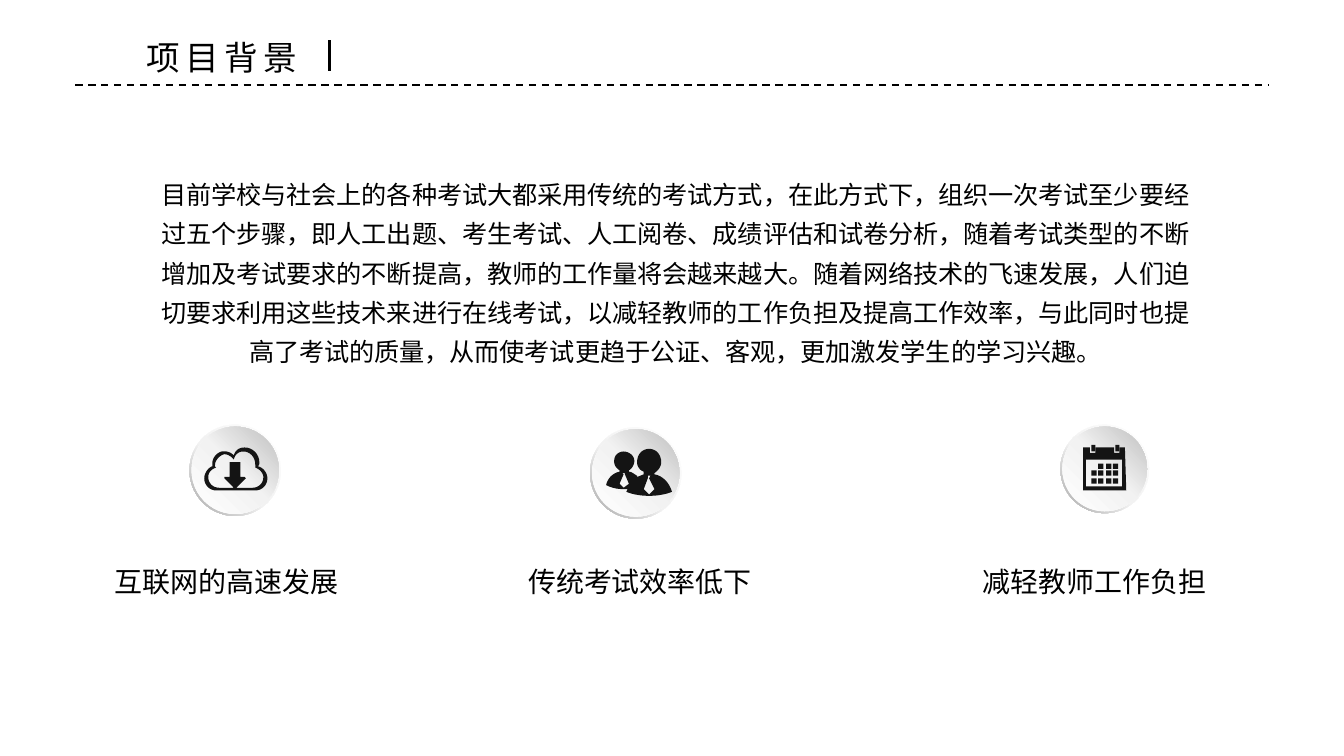
from lxml import etree
from pptx import Presentation
from pptx import util as u
from pptx.dml.color import RGBColor
from pptx.enum import dml, shapes, text
from pptx.oxml import ns

COLORS = {"ink": "000000", "icon": "141414", "white": "FFFFFF", "pale": "F2F2F2",
          "silver": "BFBFBF", "rim": "A6A6A6"}
FONT = "Noto Sans CJK SC"
UNIT = u.Cm(0.0254)


def write(shape, content, size, frame_format, paragraph_format):
    frame = shape.text_frame
    for name, value in frame_format.items():
        setattr(frame, name, value)
    paragraph = frame.paragraphs[0]
    for name, value in paragraph_format.items():
        setattr(paragraph, name, value)
    run = paragraph.add_run()
    run.text = content
    for name, value in {"name": FONT, "size": u.Pt(size), "bold": False}.items():
        setattr(run.font, name, value)
    run.font.color.rgb = RGBColor.from_string(COLORS["ink"])
    properties = run._r.get_or_add_rPr()
    etree.SubElement(properties, ns.qn("a:ea"), typeface=FONT)
    return properties


def paint(shape, stops, angle=0):
    shape.shadow.inherit = False
    shape.line.fill.background()
    shape.fill.solid()
    shape.fill.fore_color.rgb = RGBColor.from_string(COLORS[stops[0][1]])
    if len(stops) > 1:
        solid = shape._element.spPr.find(ns.qn("a:solidFill"))
        gradient = etree.Element(ns.qn("a:gradFill"), rotWithShape="1")
        stop_list = etree.SubElement(gradient, ns.qn("a:gsLst"))
        for position, color in stops:
            stop = etree.SubElement(stop_list, ns.qn("a:gs"), pos=str(position * 1000))
            etree.SubElement(stop, ns.qn("a:srgbClr"), val=COLORS[color])
        etree.SubElement(gradient, ns.qn("a:lin"), ang=str(angle * 60000), scaled="0")
        solid.getparent().replace(solid, gradient)


presentation = Presentation()
presentation.slide_width = u.Cm(25.4)
presentation.slide_height = u.Cm(14.29)
slide = presentation.slides.add_slide(presentation.slide_layouts[5])

title = slide.shapes.title
for name, value in {"left": 2.51, "top": 0.58, "width": 3.51, "height": 1.02}.items():
    setattr(title, name, u.Cm(value))
title_properties = write(
    title, "项目背景", 18,
    {"word_wrap": False, "auto_size": text.MSO_AUTO_SIZE.SHAPE_TO_FIT_TEXT,
     "vertical_anchor": text.MSO_ANCHOR.TOP},
    {"alignment": text.PP_ALIGN.LEFT})
title_properties.set("spc", "300")

BOX = {"margin_left": u.Cm(0.18), "margin_right": u.Cm(0.18),
       "margin_top": u.Cm(0.1), "margin_bottom": u.Cm(0.1),
       "word_wrap": True, "auto_size": text.MSO_AUTO_SIZE.SHAPE_TO_FIT_TEXT}
background = (
    "目前学校与社会上的各种考试大都采用传统的考试方式，在此方式下，组织一次考试至少要经过五个步骤，"
    "即人工出题、考生考试、人工阅卷、成绩评估和试卷分析，随着考试类型的不断增加及考试要求的不断提高，"
    "教师的工作量将会越来越大。随着网络技术的飞速发展，人们迫切要求利用这些技术来进行在线考试，"
    "以减轻教师的工作负担及提高工作效率，与此同时也提高了考试的质量，从而使考试更趋于公证、客观，"
    "更加激发学生的学习兴趣。")
body = slide.shapes.add_textbox(u.Cm(2.79), u.Cm(3.12), u.Cm(19.96), u.Cm(3.94))
write(body, background, 13.5, BOX, {"alignment": text.PP_ALIGN.CENTER, "line_spacing": 1.3})

for left, caption in [(1.98, "互联网的高速发展"), (9.8, "传统考试效率低下"),
                      (18.39, "减轻教师工作负担")]:
    box = slide.shapes.add_textbox(u.Cm(left), u.Cm(10.57), u.Cm(4.95), u.Cm(0.84))
    write(box, caption, 15, BOX, {"alignment": text.PP_ALIGN.LEFT})

cloud = [
    [(192, 347), (193, 346, 193, 345, 193, 344), (193, 338, 188, 333, 182, 333),
     (175, 333, 174, 339, 174, 339), (174, 339, 171, 335, 165, 336),
     (161, 337, 158, 341, 158, 345), (158, 346, 158, 346, 158, 347),
     (155, 348, 152, 352, 152, 356), (152, 361, 156, 365, 161, 365),
     (190, 365), (195, 365, 199, 361, 199, 356), (199, 352, 196, 348, 192, 347)],
    [(188, 363), (176, 363), (183, 356), (182, 355), (179, 355), (179, 344), (171, 344),
     (171, 355), (167, 355), (167, 356), (174, 363), (163, 363),
     (159, 363, 155, 360, 155, 355), (155, 352, 157, 349, 161, 348),
     (160, 348, 160, 347, 160, 346), (160, 343, 163, 339, 167, 338),
     (171, 338, 174, 342, 174, 342), (174, 342, 175, 336, 181, 336),
     (186, 336, 190, 340, 190, 346), (190, 346, 190, 347, 190, 348),
     (193, 349, 196, 352, 196, 355), (196, 360, 192, 363, 188, 363)]]
people = [
    [(482, 354), (482, 356), (479, 364), (483, 368), (487, 364), (483, 356), (484, 354)],
    [(463, 352), (464, 353), (461, 360), (464, 363), (468, 360), (465, 353), (465, 352)],
    [(483, 334), (488, 334, 492, 338, 492, 344), (492, 347, 490, 350, 487, 352), (487, 353),
     (493, 354, 498, 359, 500, 366), (495, 368, 489, 369, 483, 369),
     (477, 369, 471, 368, 466, 366), (467, 364), (464, 364),
     (459, 364, 455, 363, 451, 361), (452, 356, 456, 352, 461, 351), (461, 350),
     (458, 348, 457, 346, 457, 343), (457, 339, 460, 336, 464, 336),
     (468, 336, 472, 339, 472, 343), (472, 346, 470, 349, 468, 350), (468, 351),
     (470, 351, 472, 353, 474, 354), (474, 355), (479, 353), (479, 351),
     (476, 350, 474, 347, 474, 344), (474, 338, 478, 334, 483, 334)]]
calendar = [
    [(837, 333), (833, 333), (833, 337), (829, 337), (829, 333), (815, 333), (815, 337),
     (811, 337), (811, 333), (806, 333), (806, 365), (838, 365)],
    [(835, 362), (808, 362), (808, 342), (835, 342)]]
days = [(column, row, 4, 4) for row in (345, 350, 356) for column in (812, 817, 823, 828)
        if (column, row) != (812, 345)]
rings = [(812, 331, 3, 5), (830, 331, 3, 5)]

for left, top, size, contours, blocks in [(141, 316, 68, cloud, []),
                                          (439, 318, 68, people, []),
                                          (789, 316, 66, calendar, days + rings)]:
    group = slide.shapes.add_group_shape()
    rim = group.shapes.add_shape(shapes.MSO_SHAPE.DONUT, *[UNIT * n for n in (left, top, size, size)])
    rim.adjustments[0] = 0.049
    paint(rim, [(0, "white"), (55, "pale"), (100, "rim")], 135)
    disc = group.shapes.add_shape(
        shapes.MSO_SHAPE.OVAL, *[UNIT * n for n in (left + 1.5, top + 1.5, size - 3, size - 3)])
    paint(disc, [(0, "white"), (51, "pale"), (100, "silver")], 315)

    builder = None
    for contour in contours:
        current = contour[0]
        start = [UNIT * n for n in current]
        if builder is None:
            builder = group.shapes.build_freeform(*start, scale=1.0)
        else:
            builder.move_to(*start)
        points = []
        for segment in contour[1:]:
            if len(segment) == 2:
                points.append(segment)
            else:
                for step in range(1, 9):
                    t = step / 8
                    weights = ((1 - t) ** 3, 3 * t * (1 - t) ** 2, 3 * t * t * (1 - t), t ** 3)
                    points.append([sum(w * n for w, n in zip(weights, (current[axis], *segment[axis::2])))
                                   for axis in (0, 1)])
            current = segment[-2:]
        builder.add_line_segments([(UNIT * x, UNIT * y) for x, y in points], close=True)
    paint(builder.convert_to_shape(), [(0, "icon")])
    for block in blocks:
        rectangle = group.shapes.add_shape(shapes.MSO_SHAPE.RECTANGLE, *[UNIT * n for n in block])
        paint(rectangle, [(0, "icon")])

for ends, width, dash in [((1.42, 1.6, 23.98, 1.6), 1, dml.MSO_LINE.DASH),
                          ((6.22, 0.76, 6.22, 1.35), 1.5, dml.MSO_LINE.SOLID)]:
    rule = slide.shapes.add_connector(shapes.MSO_CONNECTOR.STRAIGHT, *[u.Cm(n) for n in ends])
    rule.line.color.rgb = RGBColor.from_string(COLORS["ink"])
    for name, value in {"width": u.Pt(width), "dash_style": dash}.items():
        setattr(rule.line, name, value)
    etree.SubElement(rule._element.spPr, ns.qn("a:effectLst"))

presentation.save("out.pptx")
